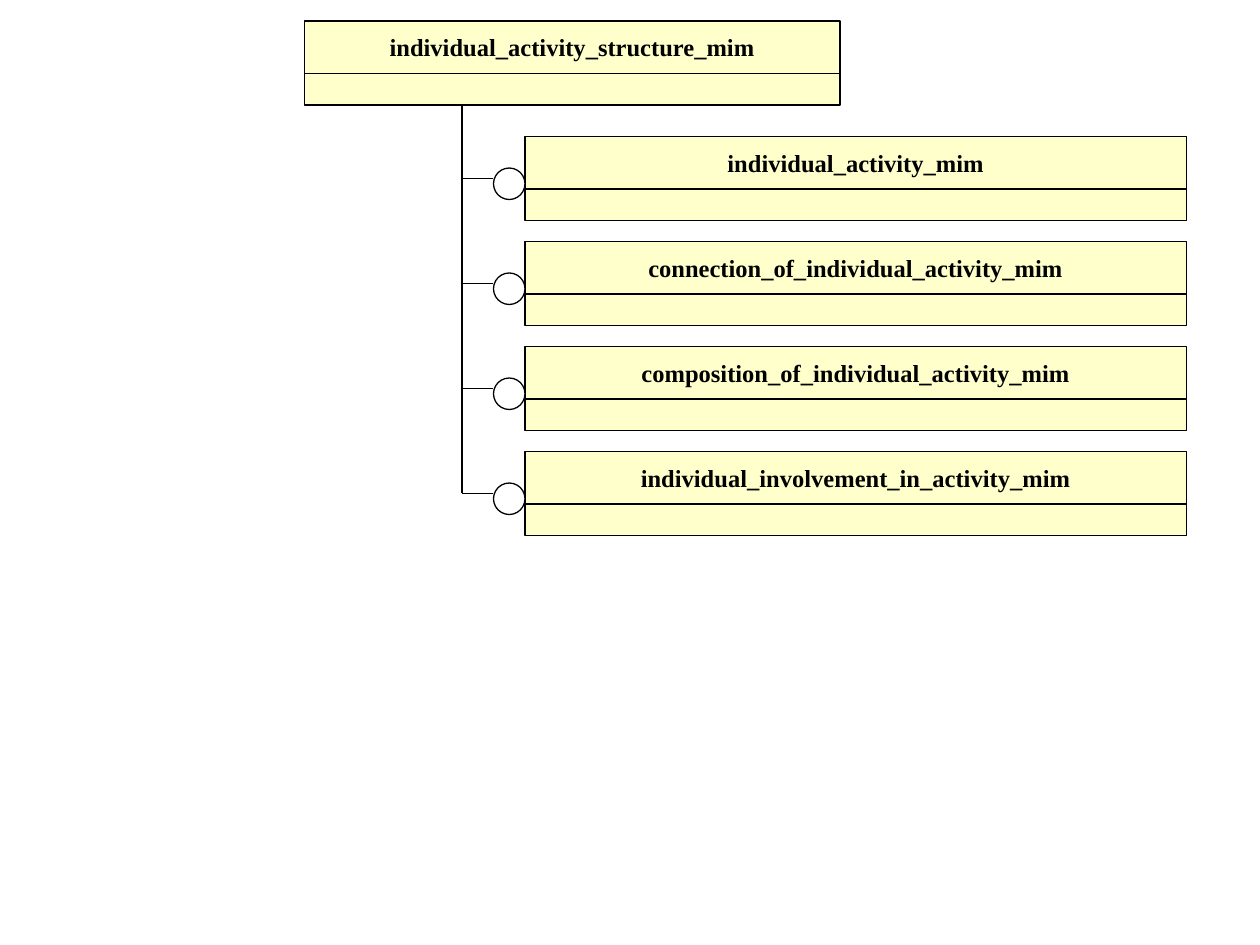
from lxml import etree
from pptx import Presentation
from pptx.dml.color import RGBColor
from pptx.enum.shapes import MSO_CONNECTOR, MSO_SHAPE
from pptx.enum.text import MSO_ANCHOR, PP_ALIGN
from pptx.oxml.ns import qn
from pptx.util import Pt

PX = 9525  # 96 px to the inch
RECTANGLE, OVAL = MSO_SHAPE.RECTANGLE, MSO_SHAPE.OVAL
STRAIGHT = MSO_CONNECTOR.STRAIGHT
MIDDLE, CENTER = MSO_ANCHOR.MIDDLE, PP_ALIGN.CENTER
BLACK = RGBColor(0x00, 0x00, 0x00)
WHITE = RGBColor(0xFF, 0xFF, 0xFF)
CREAM = RGBColor(0xFF, 0xFF, 0xCC)
LINE_WIDTH = Pt(0.75)

NAME_HEIGHT, BODY_HEIGHT = 40, 24
ROOT_LEFT, ROOT_TOP, ROOT_WIDTH = 232, 16, 408
CHILD_LEFT, CHILD_TOP, CHILD_WIDTH, CHILD_STEP = 400, 104, 504, 80
TRUNK_X, CIRCLE_SIZE, BRANCH_OFFSET = 352, 24, 32
CIRCLE_LEFT = CHILD_LEFT - CIRCLE_SIZE
CHILDREN = [
    "individual_activity_mim",
    "connection_of_individual_activity_mim",
    "composition_of_individual_activity_mim",
    "individual_involvement_in_activity_mim",
]

presentation = Presentation()
presentation.slide_width, presentation.slide_height = 960 * PX, 720 * PX
slide = presentation.slides.add_slide(presentation.slide_layouts[6])


def add_outlined(shapes, kind, left, top, width, height, color):
    shape = shapes.add_shape(kind, left * PX, top * PX, width * PX, height * PX)
    shape.shadow.inherit = False
    shape.fill.solid()
    shape.fill.fore_color.rgb = color
    shape.line.color.rgb = BLACK
    shape.line.width = LINE_WIDTH
    return shape


def add_line(x1, y1, x2, y2):
    line = slide.shapes.add_connector(STRAIGHT, x1 * PX, y1 * PX, x2 * PX, y2 * PX)
    line.line.color.rgb = BLACK
    line.line.width = LINE_WIDTH
    etree.SubElement(line._element.spPr, qn("a:effectLst"))


# Class boxes: a name compartment above an empty one
child_tops = [CHILD_TOP + CHILD_STEP * i for i in range(len(CHILDREN))]
boxes = [("individual_activity_structure_mim", ROOT_LEFT, ROOT_TOP, ROOT_WIDTH)]
boxes += [(name, CHILD_LEFT, top, CHILD_WIDTH)
          for name, top in zip(CHILDREN, child_tops)]
for name, left, top, width in boxes:
    group = slide.shapes.add_group_shape()
    title = add_outlined(group.shapes, RECTANGLE, left, top, width, NAME_HEIGHT, CREAM)
    add_outlined(group.shapes, RECTANGLE, left, top + NAME_HEIGHT, width, BODY_HEIGHT, CREAM)
    frame = title.text_frame
    frame.word_wrap = False
    frame.vertical_anchor = MIDDLE
    paragraph = frame.paragraphs[0]
    paragraph.text = name
    paragraph.alignment = CENTER
    paragraph.font.name = "Times New Roman"
    paragraph.font.size = Pt(14)
    paragraph.font.bold = True
    paragraph.font.color.rgb = BLACK

# Trunk from the root box, with one branch and circle per child
add_line(TRUNK_X, child_tops[-1] + BRANCH_OFFSET,
         TRUNK_X, ROOT_TOP + NAME_HEIGHT + BODY_HEIGHT)
for top in child_tops:
    add_outlined(slide.shapes, OVAL, CIRCLE_LEFT, top + 24, CIRCLE_SIZE, CIRCLE_SIZE, WHITE)
    add_line(TRUNK_X, top + BRANCH_OFFSET, CIRCLE_LEFT, top + BRANCH_OFFSET)

presentation.save("out.pptx")
